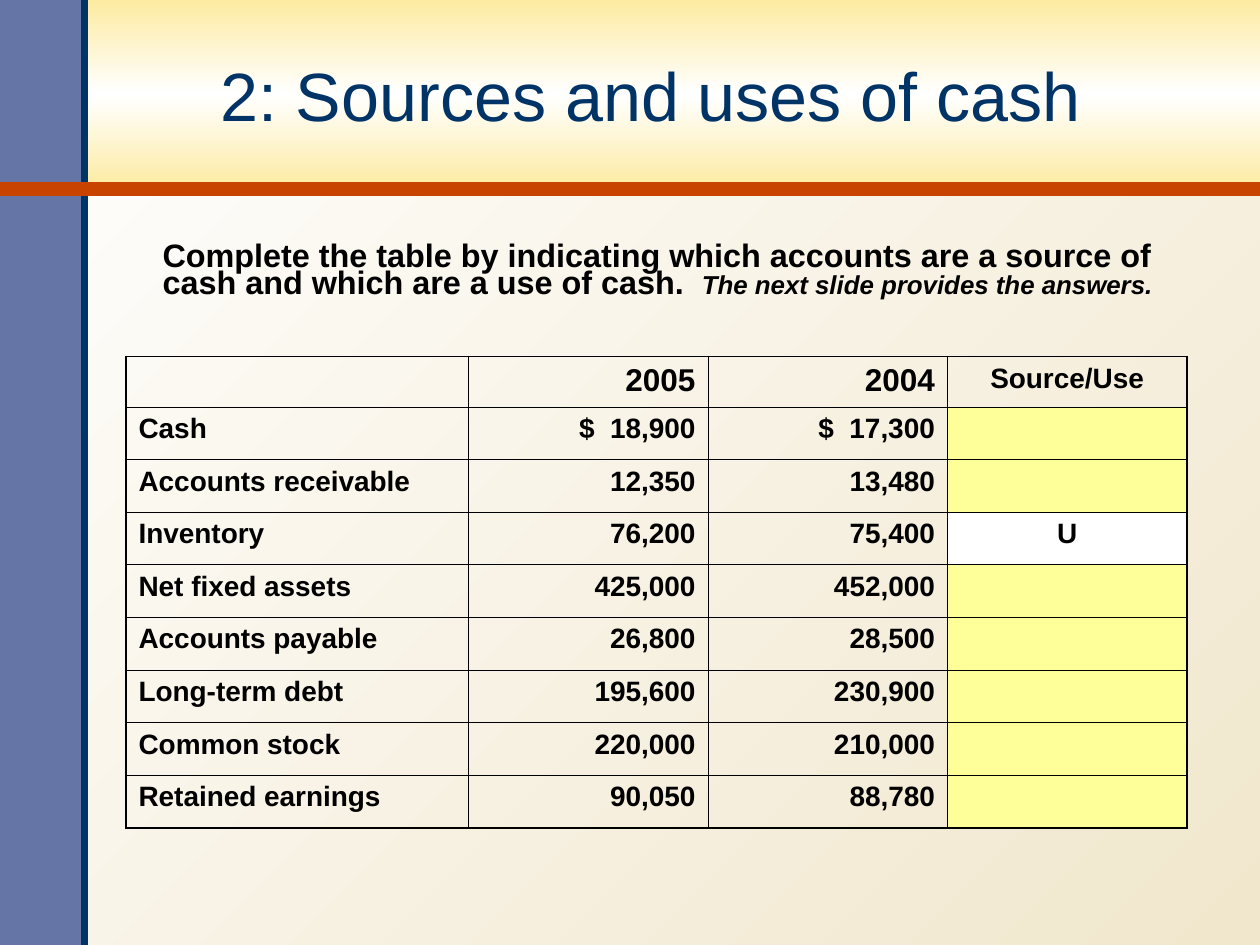
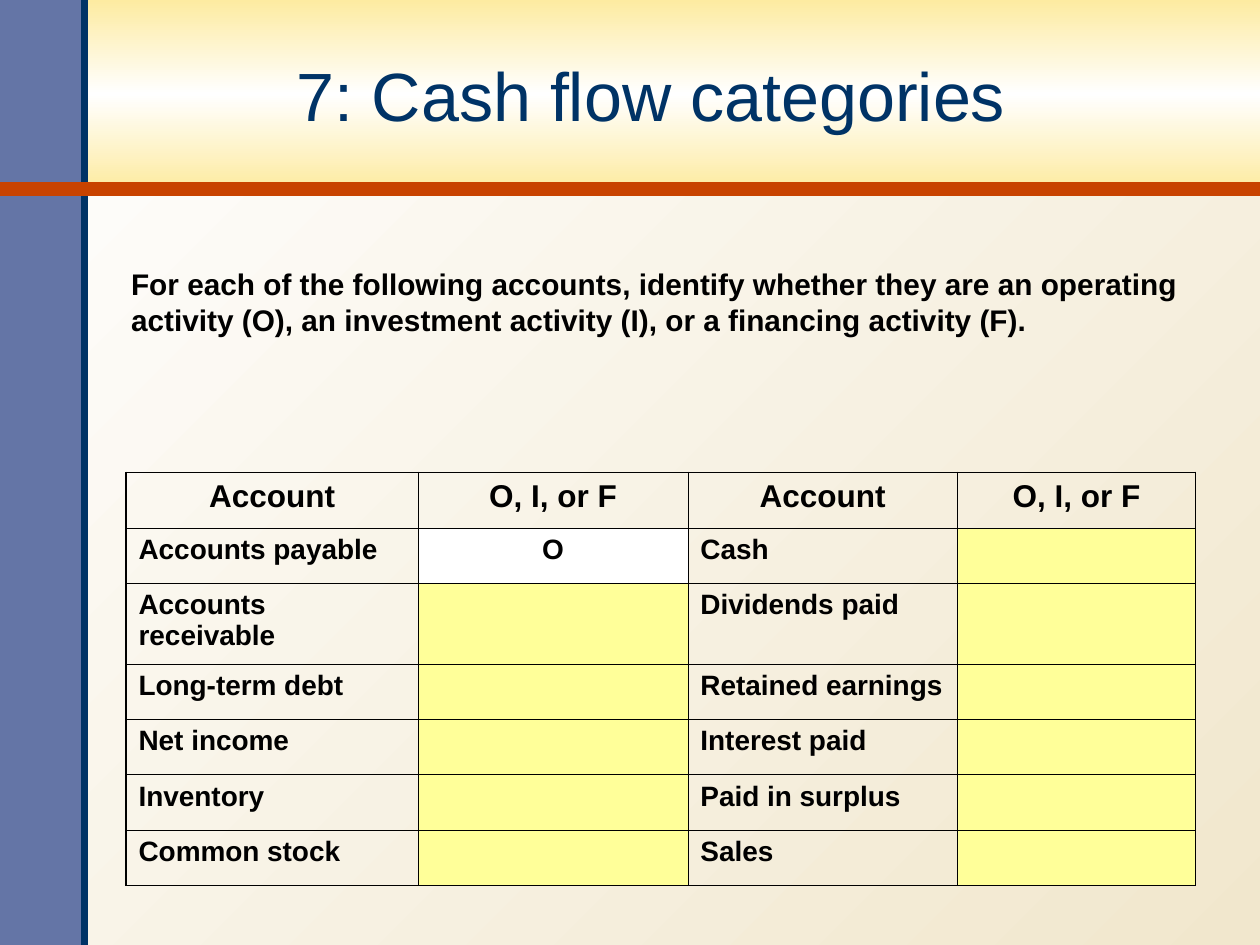
from dataclasses import dataclass

from lxml import etree
from pptx import Presentation
from pptx.dml.color import RGBColor
from pptx.enum.shapes import MSO_CONNECTOR, MSO_SHAPE
from pptx.enum.text import MSO_ANCHOR, PP_ALIGN
from pptx.oxml.ns import qn
from pptx.util import Inches, Pt

LEFT, CENTER, RIGHT = PP_ALIGN.LEFT, PP_ALIGN.CENTER, PP_ALIGN.RIGHT
MIDDLE = MSO_ANCHOR.MIDDLE
RECT, STRAIGHT = MSO_SHAPE.RECTANGLE, MSO_CONNECTOR.STRAIGHT
TITLE_ONLY = 5
WIDTH, HEIGHT = 10, 7.5


@dataclass(frozen=True)
class Theme:
    font: str = "Arial"
    navy: str = "003366"
    slate: str = "6475A6"
    rust: str = "C84300"
    gold: str = "FDEBA1"
    cream: str = "F1E7CD"
    white: str = "FFFFFF"
    black: str = "000000"
    blank: str = "FFFF99"
    title_pt: float = 39
    header_pt: float = 18
    cell_pt: float = 16
    inner_border: float = 0.45
    outer_border: float = 1.08


def set_all(obj, values):
    for name, value in values.items():
        setattr(obj, name, value)


def set_gradient(fill, owner, colors, angle):
    """Spread the colours evenly along a clockwise angle."""
    fill.gradient()
    fill.gradient_angle = 360 - angle
    stops = next(owner.iter(qn("a:gsLst")))
    for old in list(stops):
        stops.remove(old)
    for i, color in enumerate(colors):
        stop = etree.SubElement(stops, qn("a:gs"), pos=str(100000 * i // (len(colors) - 1)))
        etree.SubElement(stop, qn("a:srgbClr"), val=color)


class Deck:
    def __init__(self, theme):
        self.theme = theme
        self.prs = Presentation()
        self.prs.slide_width, self.prs.slide_height = Inches(WIDTH), Inches(HEIGHT)
        self.layout = self.prs.slide_layouts[TITLE_ONLY]
        self.s = None

    def new_slide(self, title):
        first = self.s is None
        self.s = self.prs.slides.add_slide(self.layout)
        if first:
            self.backdrop()
        sp = self.s.shapes.title
        self.place(sp, 0.58, 0.08, 9.17, 1.33)
        tf = sp.text_frame
        set_all(tf, {"word_wrap": True, "vertical_anchor": MIDDLE})
        p = tf.paragraphs[0]
        p.alignment = CENTER
        self.run(p, title, self.theme.title_pt, color=self.theme.navy, bold=False)

    def backdrop(self):
        """Draw the shared bands on the current slide, then move them to the layout."""
        t = self.theme
        master = self.prs.slide_master
        set_gradient(master.background.fill, master.element, [t.white, t.cream], 45)
        band = self.rect(0, 0, WIDTH, 1.5)
        set_gradient(band.fill, band.element, [t.gold, t.white, t.gold], 90)
        side = self.rect(0, 0, 0.67, HEIGHT)
        side.fill.solid()
        side.fill.fore_color.rgb = RGBColor.from_string(t.slate)
        parts = [band, side,
                 self.line(0.67, HEIGHT, 0.67, 0, t.navy, 4),
                 self.line(0, 1.5, WIDTH, 1.5, t.rust, 8)]
        for i, part in enumerate(parts):
            self.layout.shapes.element.insert(2 + i, part.element)

    def place(self, sp, *box):
        set_all(sp, dict(zip(("left", "top", "width", "height"), map(Inches, box))))

    def rect(self, *box):
        sp = self.s.shapes.add_shape(RECT, *map(Inches, box))
        sp.shadow.inherit = False
        sp.line.fill.background()
        return sp

    def line(self, x1, y1, x2, y2, color, width):
        cx = self.s.shapes.add_connector(STRAIGHT, *map(Inches, (x1, y1, x2, y2)))
        cx.line.color.rgb = RGBColor.from_string(color)
        cx.line.width = Pt(width)
        etree.SubElement(cx.element.spPr, qn("a:effectLst"))
        return cx

    def run(self, p, text, size, color=None, bold=True, italic=False):
        r = p.add_run()
        r.text = text
        set_all(r.font, {"name": self.theme.font, "size": Pt(size), "bold": bold, "italic": italic})
        r.font.color.rgb = RGBColor.from_string(color or self.theme.black)

    def instruction(self, box, runs, spacing=1.0):
        """Add a task paragraph from (text, size, italic) runs."""
        tf = self.s.shapes.add_textbox(*map(Inches, box)).text_frame
        set_all(tf, {"word_wrap": True, "margin_left": Inches(0.37), "margin_right": Inches(0.1),
                     "margin_top": Inches(0.53), "margin_bottom": Inches(0.05)})
        p = tf.paragraphs[0]
        p.line_spacing = spacing
        for text, size, italic in runs:
            self.run(p, text, size, italic=italic)

    def borders(self, cell, row, col, rows, cols):
        edges = {"L": col == 0, "R": col == cols - 1, "T": row == 0, "B": row == rows - 1}
        tc_pr = cell._tc.get_or_add_tcPr()
        for side, outer in edges.items():
            width = self.theme.outer_border if outer else self.theme.inner_border
            ln = etree.SubElement(tc_pr, qn(f"a:ln{side}"), w=str(Pt(width)))
            fill = etree.SubElement(ln, qn("a:solidFill"))
            etree.SubElement(fill, qn("a:srgbClr"), val=self.theme.black)

    def table(self, box, widths, heights, data, aligns, header_aligns, header_sizes, answers):
        """Add a worksheet table; empty cells in the answer columns are highlighted."""
        t = self.theme
        rows, cols = len(heights), len(widths)
        tbl = self.s.shapes.add_table(rows, cols, *map(Inches, box)).table
        set_all(tbl, {"first_row": False, "horz_banding": False})
        for column, width in zip(tbl.columns, widths):
            column.width = Inches(width)
        for i, height in enumerate(heights):
            tbl.rows[i].height = Inches(height)
            for j, text in enumerate(data[i]):
                cell = tbl.cell(i, j)
                self.borders(cell, i, j, rows, cols)
                if i and j in answers:
                    cell.fill.solid()
                    cell.fill.fore_color.rgb = RGBColor.from_string(t.white if text else t.blank)
                else:
                    cell.fill.background()
                p = cell.text_frame.paragraphs[0]
                p.alignment = aligns[j] if i else header_aligns[j]
                if text:
                    self.run(p, text, t.cell_pt if i else header_sizes[j])


def sources_and_uses(deck):
    t = deck.theme
    deck.new_slide("2: Sources and uses of cash")
    deck.instruction((0.92, 1.42, 8.58, 1.3), [
        ("Complete the table by indicating which accounts are a source of cash "
         "and which are a use of cash.  ", 18.5, False),
        ("The next slide provides the answers.", 14.8, True)], spacing=0.7)
    data = [
        ("", "2005", "2004", "Source/Use"),
        ("Cash", "$  18,900", "$  17,300", ""),
        ("Accounts receivable", "12,350", "13,480", ""),
        ("Inventory", "76,200", "75,400", "U"),
        ("Net fixed assets", "425,000", "452,000", ""),
        ("Accounts payable", "26,800", "28,500", ""),
        ("Long-term debt", "195,600", "230,900", ""),
        ("Common stock", "220,000", "210,000", ""),
        ("Retained earnings", "90,050", "88,780", ""),
    ]
    aligns = [LEFT, RIGHT, RIGHT, CENTER]
    accounts = len(data) - 1
    deck.table((1, 2.83, 8.42, 3.74), [2.72] + [1.9] * 3, [0.4] + [3.34 / accounts] * accounts,
               data, aligns, aligns, [t.header_pt] * 3 + [t.cell_pt], answers={3})


def cash_flow_categories(deck):
    deck.new_slide("7: Cash flow categories")
    deck.instruction((0.67, 1.58, 9.09, 1.22), [
        ("For each of the following accounts, identify whether they are an operating activity (O), "
         "an investment activity (I), or a financing activity (F).", 17, False)])
    data = [
        ("Account", "O, I, or F") * 2,
        ("Accounts payable", "O", "Cash", ""),
        ("Accounts receivable", "", "Dividends paid", ""),
        ("Long-term debt", "", "Retained earnings", ""),
        ("Net income", "", "Interest paid", ""),
        ("Inventory", "", "Paid in surplus", ""),
        ("Common stock", "", "Sales", ""),
    ]
    deck.table((1, 3.75, 8.5, 3.28), [2.32, 2.14, 2.14, 1.89], [0.44] * 2 + [0.64] + [0.44] * 4,
               data, [LEFT, CENTER] * 2, [CENTER] * 4, [deck.theme.header_pt] * 4, answers={1, 3})


def main():
    deck = Deck(Theme())
    sources_and_uses(deck)
    cash_flow_categories(deck)
    deck.prs.save("out.pptx")


if __name__ == "__main__":
    main()
